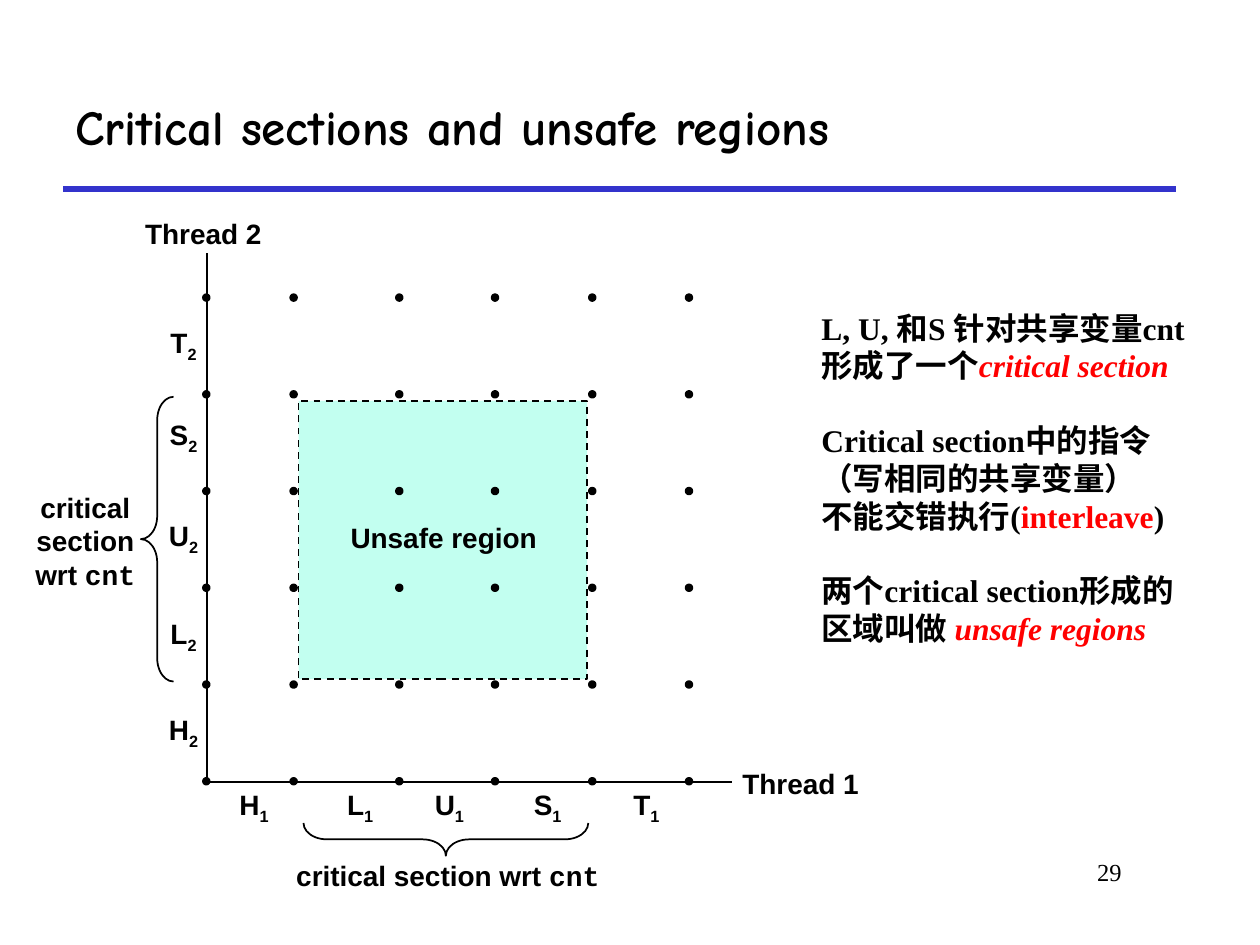
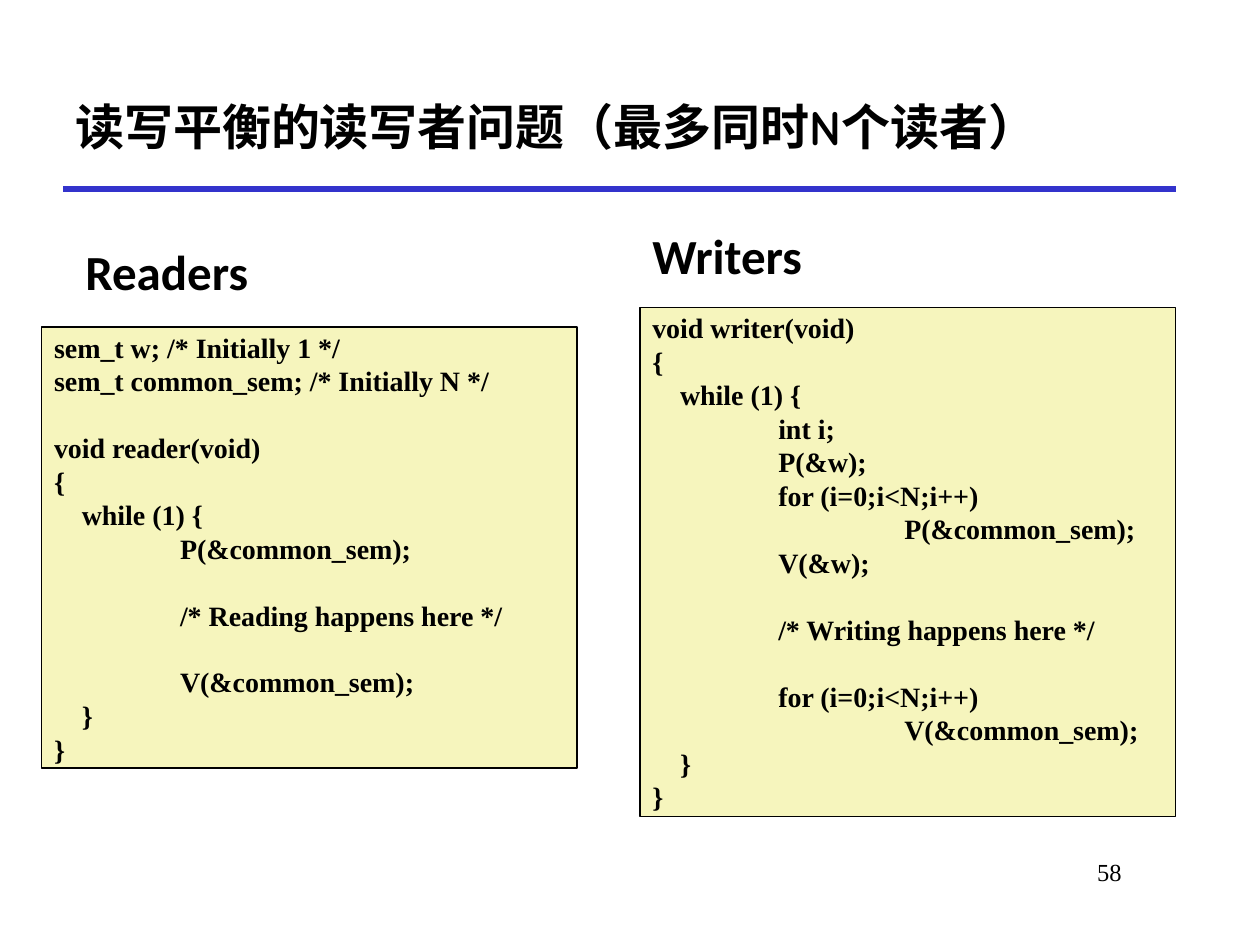
from pptx import Presentation
from pptx import util as u
from pptx.dml import color
from pptx.enum import dml, shapes, text
from pptx.oxml import ns, xmlchemy

BLACK, WHITE, RED, RULE_BLUE = "000000", "FFFFFF", "FF0000", "3333CC"
REGION, CODE_PAPER = "C2FFF0", "F6F5BD"

TITLE = {"name": "Comic Neue", "size": u.Pt(28), "bold": True}
HEADING = {"name": "Calibri", "size": u.Pt(28), "bold": True}
NUMBER = {"name": "Times New Roman", "size": u.Pt(14)}
NOTE = {"name": "Times New Roman", "size": u.Pt(18), "bold": True}
CODE = {"name": "Times New Roman", "size": u.Pt(16), "bold": True}
LABEL = {"name": "Arial", "size": u.Pt(16), "bold": True}
MONO = {"name": "Courier New"}
KEYWORD = {"color": RED}
TERM = {"color": RED, "italic": True}
SUBSCRIPT = {"baseline": "-25000"}

CENTER, RIGHT = text.PP_ALIGN.CENTER, text.PP_ALIGN.RIGHT
MIDDLE, TOP = text.MSO_ANCHOR.MIDDLE, text.MSO_ANCHOR.TOP
INDENTS = [0, 0.56, 2.54, 5.08]

DOT_XS = [4.16, 5.92, 8.05, 9.98, 11.94, 13.89]
DOT_YS = [15.75 - 1.95 * row for row in range(6)]
STEPS = "HLUST"
STEP_XS = [5.12, 7.26, 9.06, 11.04, 13.03]
STEP_YS = [14.74, 12.81, 10.83, 8.8, 6.95]

NOTES = [
    [("L, U, 和S 针对共享变量cnt", {})],
    [("形成了一个", {}), ("critical section", TERM)],
    None,
    [("Critical section中的指令", {})],
    [("（写相同的共享变量）", {})],
    [("不能交错执行(", {}), ("interleave", KEYWORD), (")", {})],
    None,
    [("两个critical section形成的", {})],
    [("区域叫做 ", {}), ("unsafe regions", TERM)],
]
READER = [
    (0, "sem_t w; /* Initially 1 */"),
    (0, "sem_t common_sem; /* Initially N */"),
    None,
    (0, "void reader(void)"),
    (0, "{"),
    (1, "while (1) {"),
    (2, "P(&common_sem);"),
    None,
    (2, "/* Reading happens here */"),
    None,
    (2, "V(&common_sem);"),
    (1, "}"),
    (0, "}"),
]
WRITER = [
    (0, "void writer(void)"),
    (0, "{"),
    (1, "while (1) {"),
    (2, "int i;"),
    (2, "P(&w);"),
    (2, "for (i=0;i<N;i++)"),
    (3, "P(&common_sem);"),
    (2, "V(&w);"),
    None,
    (2, "/* Writing happens here */"),
    None,
    (2, "for (i=0;i<N;i++)"),
    (3, "V(&common_sem);"),
    (1, "}"),
    (0, "}"),
]


def rgb(value):
    return color.RGBColor.from_string(value)


def lengths(*values):
    return [u.Cm(value) for value in values]


def add_run(paragraph, words, style):
    run = paragraph.add_run()
    run.text = words
    for name, value in {"color": BLACK, **style}.items():
        if name == "color":
            run.font.color.rgb = rgb(value)
        elif name == "baseline":
            run.font._element.set("baseline", value)
        else:
            setattr(run.font, name, value)


def write(shape, lines, style, align=None, anchor=MIDDLE, wrap=True,
          inset=0.13, gap=0, spacing=None):
    frame = shape.text_frame
    settings = {"word_wrap": wrap, "vertical_anchor": anchor,
                "margin_top": u.Cm(inset), "margin_bottom": u.Cm(inset)}
    for name, value in settings.items():
        setattr(frame, name, value)
    paragraph, pending = None, 0
    for line in lines:
        if line is None:
            pending = gap
            continue
        paragraph = frame.add_paragraph() if paragraph else frame.paragraphs[0]
        paragraph.alignment = align or text.PP_ALIGN.LEFT
        paragraph.line_spacing = spacing
        paragraph.space_before = u.Pt(pending)
        pending = 0
        if isinstance(line, tuple):
            depth, words = line
            properties = paragraph._p.get_or_add_pPr()
            properties.set("marL", str(u.Cm(INDENTS[depth])))
            properties.set("indent", "0")
            line = [(words, {})]
        for words, changes in line:
            add_run(paragraph, words, {**style, **changes})


def add_text(slide, box, runs, style, **layout):
    shape = slide.shapes.add_textbox(*lengths(*box))
    write(shape, [runs], style, **layout)


def add_figure(slide, kind, box, fill=None, line=None, width=1, dash=None):
    shape = slide.shapes.add_shape(kind, *lengths(*box))
    shape.shadow.inherit = False
    if fill:
        shape.fill.solid()
        shape.fill.fore_color.rgb = rgb(fill)
    else:
        shape.fill.background()
    if line:
        shape.line.color.rgb = rgb(line)
        shape.line.width = u.Pt(width)
        shape.line.dash_style = dash
    else:
        shape.line.fill.background()
    return shape


def add_line(slide, ends, line=BLACK, width=1):
    connector = slide.shapes.add_connector(
        shapes.MSO_CONNECTOR.STRAIGHT, *lengths(*ends))
    connector.line.color.rgb = rgb(line)
    connector.line.width = u.Pt(width)
    connector._element.spPr.append(xmlchemy.OxmlElement("a:effectLst"))


def add_page(presentation, title, number):
    slide = presentation.slides.add_slide(presentation.slide_layouts[6])
    add_line(slide, (1.27, 3.81, 23.7, 3.81), RULE_BLUE, 3)
    add_text(slide, (1.27, 1.27, 22.43, 2.54), [(title, {})], TITLE)
    add_text(slide, (19.25, 17.15, 3.61, 1.27), [(number, {})], NUMBER,
             align=RIGHT, anchor=TOP)
    return slide


def add_label(slide, center_x, center_y, runs, width=1.15):
    add_text(slide, (center_x - width / 2, center_y - 0.47, width, 0.94),
             runs, LABEL, align=CENTER, wrap=False)


def add_brace(slide, box, rotation=0):
    brace = add_figure(slide, shapes.MSO_SHAPE.LEFT_BRACE, box, line=BLACK)
    brace.adjustments[0] = 0.715
    brace.rotation = rotation


def add_code(slide, box, lines):
    shape = add_figure(slide, shapes.MSO_SHAPE.RECTANGLE, box, CODE_PAPER, BLACK)
    write(shape, lines, CODE, inset=0, gap=19)


def add_heading(slide, box, words):
    shape = add_figure(slide, shapes.MSO_SHAPE.RECTANGLE, box, WHITE, WHITE, 0.75)
    write(shape, [[(words, {})]], HEADING, anchor=TOP, wrap=False, spacing=0.9)


def add_progress_graph(slide):
    rectangle = shapes.MSO_SHAPE.RECTANGLE
    add_figure(slide, rectangle, (6.02, 8.08, 5.82, 5.61), REGION, BLACK,
               dash=dml.MSO_LINE.DASH)
    add_line(slide, (4.18, 15.77, 14.76, 15.77))
    add_line(slide, (4.18, 15.77, 4.18, 5.11))
    for step, x, y in zip(STEPS, STEP_XS, STEP_YS):
        add_label(slide, x, 16.27, [(step, {}), ("1", SUBSCRIPT)])
        add_label(slide, 3.7, y, [(step, {}), ("2", SUBSCRIPT)])
    for x in DOT_XS:
        for y in DOT_YS:
            add_figure(slide, shapes.MSO_SHAPE.OVAL,
                       (x - 0.05, y - 0.05, 0.1, 0.1), BLACK, BLACK, 2)
    add_label(slide, 16.14, 15.79, [("Thread 1", {})], 2.87)
    add_label(slide, 4.1, 4.71, [("Thread 2", {})], 2.87)
    region_label = add_figure(slide, rectangle, (6.81, 10.36, 4.27, 0.94), REGION)
    write(region_label, [[("Unsafe region", {})]], LABEL, align=CENTER, wrap=False)
    add_brace(slide, (2.84, 8, 0.66, 5.74))
    add_brace(slide, (8.66, 14.05, 0.66, 5.74), 270)
    section = [("critical section wrt ", {}), ("cnt", MONO)]
    add_label(slide, 9.03, 17.64, section, 6.68)
    add_text(slide, (0.41, 9.75, 2.62, 2.29), section, LABEL, align=CENTER)


def build_regions(presentation):
    slide = add_page(presentation, "Critical sections and unsafe regions", "29")
    notes = slide.shapes.add_textbox(*lengths(16.31, 4.55, 8.31, 10.16))
    write(notes, NOTES, NOTE, wrap=False, inset=0, gap=21)
    add_progress_graph(slide)


def build_readers_writers(presentation):
    slide = add_page(presentation, "读写平衡的读写者问题（最多同时N个读者）", "58")
    add_code(slide, (0.84, 6.6, 10.8, 8.89), READER)
    add_code(slide, (12.9, 6.2, 10.8, 10.26), WRITER)
    add_heading(slide, (1.47, 4.88, 3.84, 1.32), "Readers")
    add_heading(slide, (12.9, 4.55, 3.58, 1.32), "Writers")


def main():
    presentation = Presentation()
    presentation.slide_width = u.Cm(25.4)
    presentation.slide_height = u.Cm(19.05)
    build_regions(presentation)
    build_readers_writers(presentation)
    presentation.save("out.pptx")


if __name__ == "__main__":
    main()
